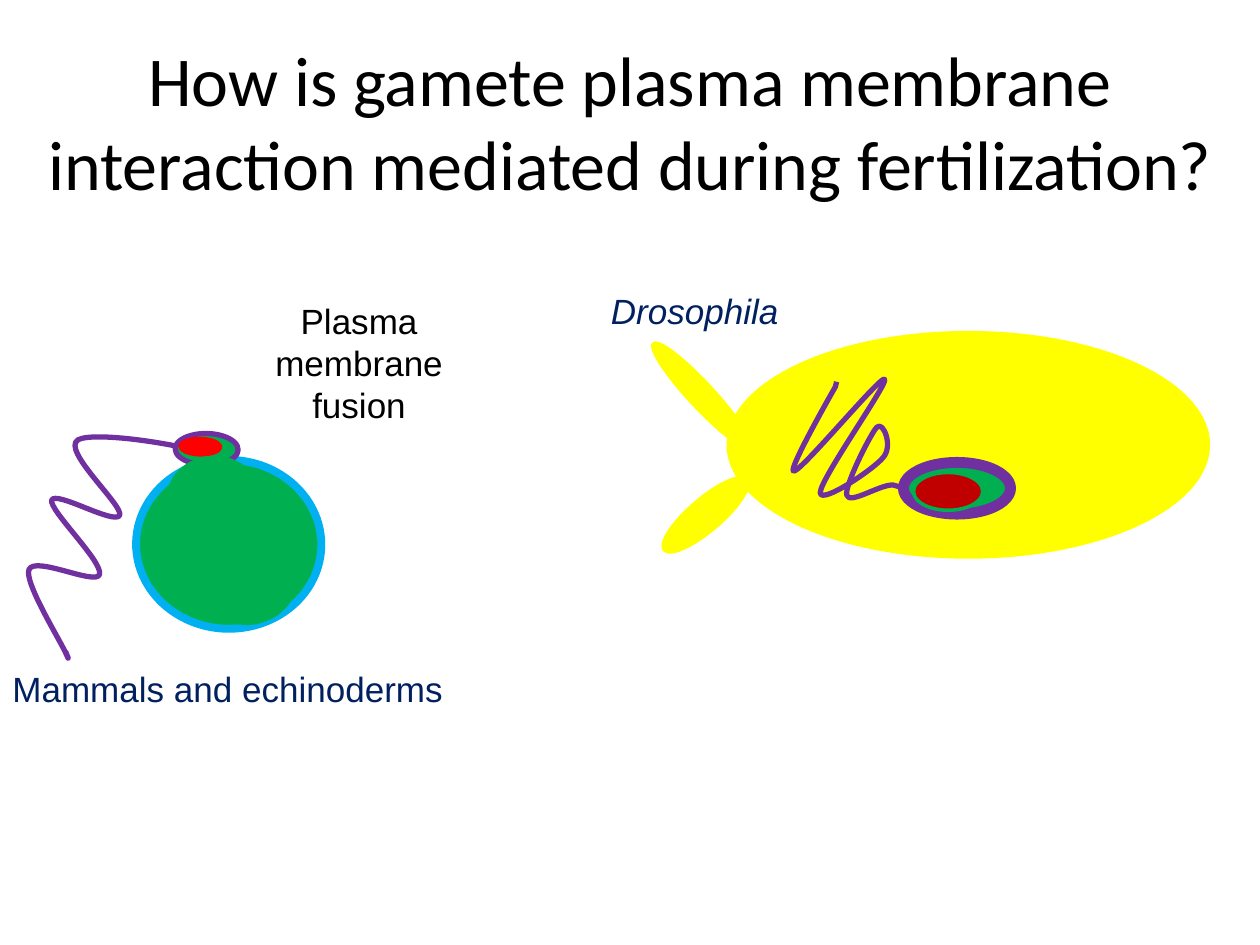
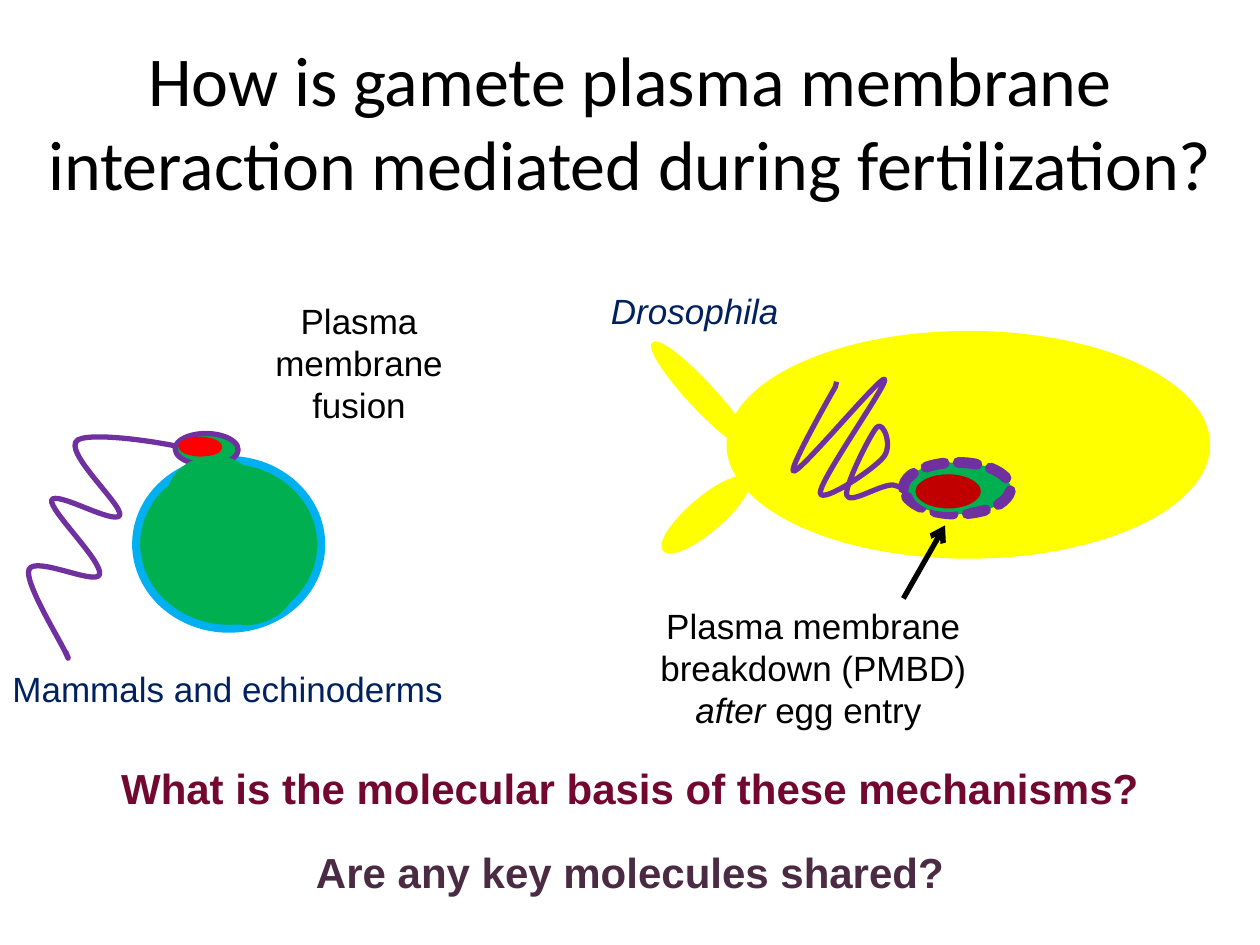
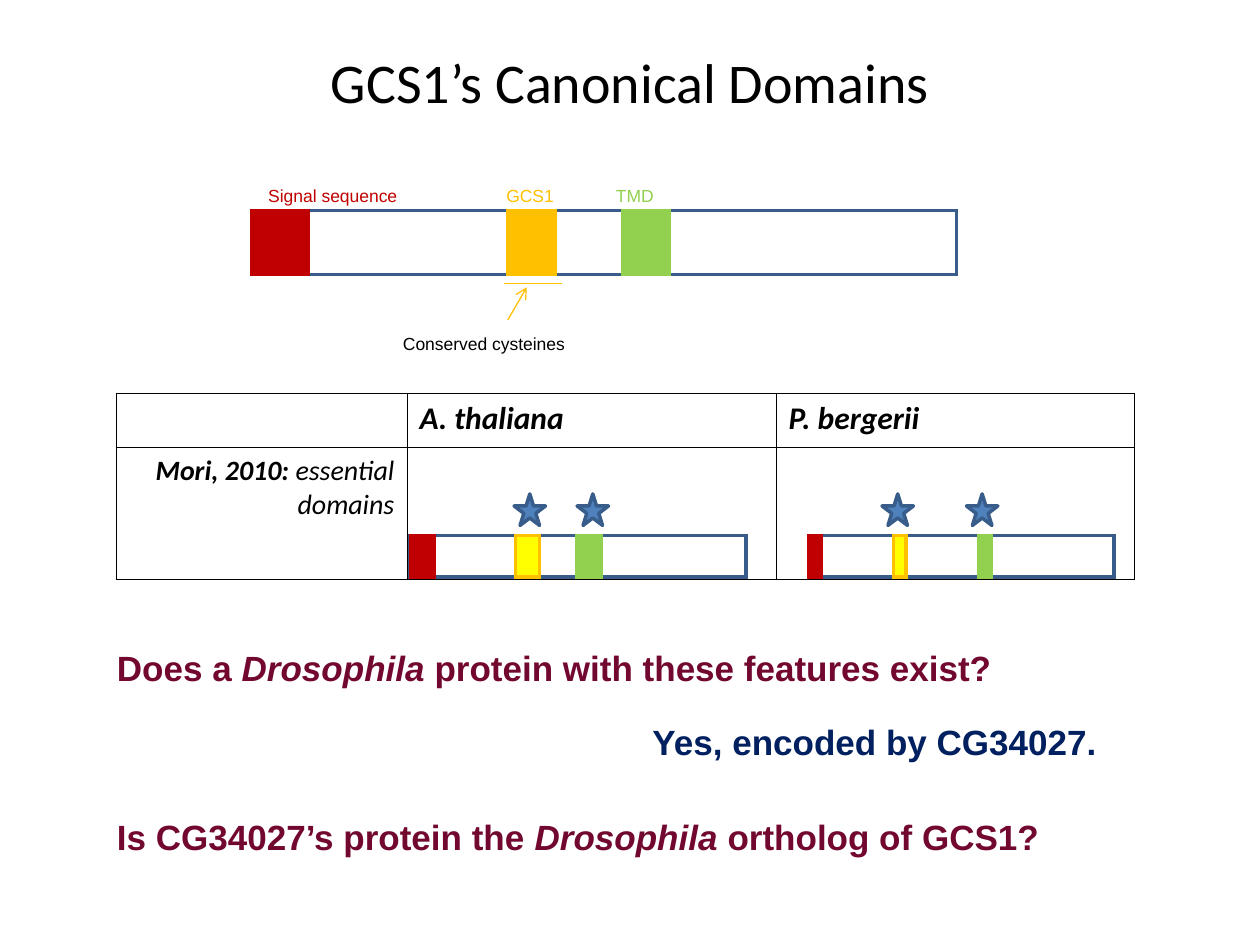
from dataclasses import dataclass
from lxml import etree
from pptx import Presentation
from pptx.dml.color import RGBColor
from pptx.enum.shapes import MSO_CONNECTOR as Link, MSO_SHAPE as Kind
from pptx.enum.text import MSO_ANCHOR as Anchor, MSO_AUTO_SIZE as Fit, PP_ALIGN as Align
from pptx.oxml.ns import qn
from pptx.util import Inches, Pt


@dataclass(frozen=True)
class Theme:
    black: str = "000000"
    navy: str = "002060"
    wine: str = "720830"
    plum: str = "4B2B44"
    green: str = "00B050"
    sky: str = "00B0F0"
    purple: str = "7030A0"
    red: str = "FF0000"
    dark: str = "C00000"
    yellow: str = "FFFF00"
    gold: str = "FFC000"
    lime: str = "92D050"
    blue: str = "4F81BD"
    edge: str = "385D8A"
    head: str = "Calibri"
    body: str = "Arial"
    large: int = 40
    title: int = 32
    ask: int = 24
    text: int = 20
    cell: int = 18
    small: int = 16
    tiny: int = 10


T = Theme()
QUERY = "How is gamete plasma membrane interaction mediated during fertilization?"

SPERM = [
    (1.77, 1.39), (1.49, 1.28, 0.76, 1.17, 0.62, 1.24),
    (0.48, 1.32, 0.98, 1.76, 0.95, 1.84), (0.91, 1.92, 0.44, 1.64, 0.41, 1.72),
    (0.39, 1.8, 0.82, 2.21, 0.79, 2.31), (0.76, 2.4, 0.28, 2.16, 0.23, 2.27),
    (0.19, 2.37, 0.47, 2.82, 0.52, 2.93), (0.57, 3.04, 0.52, 2.92, 0.52, 2.92),
]
NECK = [
    (2.03, 1.61), (1.99, 1.45, 1.81, 1.35, 1.62, 1.39),
    (1.43, 1.43, 1.31, 1.59, 1.35, 1.75), (1.59, 1.71),
    (1.58, 1.69, 1.61, 1.66, 1.66, 1.65), (1.71, 1.64, 1.77, 1.65, 1.79, 1.67),
]
BASE = [
    (1.66, 2.51), (1.73, 2.67, 1.92, 2.74, 2.1, 2.67),
    (2.28, 2.61, 2.38, 2.43, 2.32, 2.27), (2.08, 2.35),
    (2.1, 2.37, 2.07, 2.41, 2.02, 2.42), (1.97, 2.44, 1.91, 2.44, 1.89, 2.42),
]
COIL = [
    (2.57, 1.78), (2.51, 1.7, 2.44, 1.62, 2.34, 1.6),
    (2.24, 1.59, 1.99, 1.76, 1.97, 1.68), (1.95, 1.61, 2.16, 1.19, 2.21, 1.14),
    (2.26, 1.09, 2.34, 1.29, 2.26, 1.38), (2.19, 1.47, 1.76, 1.76, 1.76, 1.66),
    (1.76, 1.55, 2.31, 0.78, 2.27, 0.76), (2.24, 0.73, 1.62, 1.48, 1.55, 1.49),
    (1.49, 1.5, 1.88, 0.82, 1.88, 0.82), (1.89, 0.78),
]


def color(code):
    return RGBColor.from_string(code)


def bend(shape, steps):
    marks = iter(list(shape._element.iter(qn("a:lnTo"))))
    for step in steps[1:]:
        first = next(marks)
        if len(step) == 6:
            first.tag = qn("a:cubicBezTo")
            for _ in range(2):
                mark = next(marks)
                first.append(mark[0])
                mark.getparent().remove(mark)


def write(par, words, size, tone, face=T.body, bold=False, italic=False, align=Align.LEFT):
    for i, piece in enumerate(words.split("*")):
        if piece:
            run = par.add_run()
            run.text = piece
            if "*" in words:
                run.font.italic = i % 2 == 1
    font = par.font
    font.name, font.size, font.bold = face, Pt(size), bold
    if "*" not in words:
        font.italic = italic
    font.color.rgb = color(tone)
    par.alignment = align


def paint(shape, fill, line, width):
    shape.shadow.inherit = False
    if fill:
        shape.fill.solid()
        shape.fill.fore_color.rgb = color(fill)
    else:
        shape.fill.background()
    shape.line.color.rgb = color(line)
    shape.line.width = Pt(width)
    return shape


class Area:
    def __init__(self, slide, left, top):
        self.shapes, self.left, self.top = slide.shapes, left, top

    def spot(self, x, y):
        return Inches(self.left + x), Inches(self.top + y)

    def draw(self, box, fill, line=None, width=2, kind=Kind.OVAL, turn=0):
        x, y, w, h = box
        shape = self.shapes.add_shape(kind, *self.spot(x, y), Inches(w), Inches(h))
        shape.rotation = turn
        return paint(shape, fill, line or fill, width)

    def curve(self, steps, line, width=2, fill=None):
        spots = [self.spot(*s[i:i + 2]) for s in steps for i in range(0, len(s), 2)]
        form = self.shapes.build_freeform(*spots[0])
        form.add_line_segments(spots[1:], close=bool(fill))
        shape = paint(form.convert_to_shape(), fill, line, width)
        bend(shape, steps)

    def label(self, box, lines, tone=T.black, size=T.text, **style):
        x, y, w, h = box
        frame = self.shapes.add_textbox(*self.spot(x, y), Inches(w), Inches(h)).text_frame
        frame.word_wrap = True
        frame.auto_size = Fit.SHAPE_TO_FIT_TEXT
        for i, words in enumerate(lines.split("\n")):
            par = frame.add_paragraph() if i else frame.paragraphs[0]
            write(par, words, size, tone, **style)

    def link(self, start, end, tone, width, tip=False):
        line = self.shapes.add_connector(Link.STRAIGHT, *self.spot(*start), *self.spot(*end))
        line.line.color.rgb = color(tone)
        line.line.width = Pt(width)
        etree.SubElement(line._element.spPr, qn("a:effectLst"))
        if tip:
            etree.SubElement(line.line._get_or_add_ln(), qn("a:tailEnd"), type="arrow")


def start(deck, words, size, height, anchor):
    slide = deck.slides.add_slide(deck.slide_layouts[5])
    title = slide.shapes.title
    title.left, title.top = Inches(0), Inches(0.33)
    title.width, title.height = Inches(10), Inches(height)
    frame = title.text_frame
    frame.auto_size, frame.vertical_anchor = Fit.NONE, anchor
    write(frame.paragraphs[0], words, size, T.black, T.head, align=Align.CENTER)
    return slide


def mammal(area):
    area.curve(SPERM, T.purple, 3)
    area.label((1.83, 0.08, 2.04, 1.1), "Plasma membrane fusion", align=Align.CENTER)
    area.draw((1.08, 1.4, 1.47, 1.34), T.green, T.sky, 4.5, turn=181)
    area.draw((1.39, 1.19, 0.5, 0.25), T.green, T.purple, 3, turn=181)
    area.draw((1.43, 1.23, 0.32, 0.13), T.red, turn=181)
    for steps in (NECK, BASE):
        area.curve(steps, T.green, fill=T.green)
    area.label((0, 3, 4.33, 0.44), "Mammals and echinoderms", T.navy)


def dash(shape):
    line = shape.line._get_or_add_ln()
    line.set("cap", "rnd")
    rule = etree.SubElement(line, qn("a:custDash"))
    etree.SubElement(rule, qn("a:ds"), d="270000", sp="30000")


def fly(area, broken):
    area.draw((1.03, 0.39, 3.81, 1.78), T.yellow)
    area.draw((0.26, 0.79, 1.11, 0.19), T.yellow, turn=47.1)
    area.draw((0.42, 1.71, 0.86, 0.25), T.yellow, turn=139.5)
    area.draw((1.92, 1.77, 0.35, 0.3), T.yellow, kind=Kind.ISOSCELES_TRIANGLE, turn=270)
    area.label((0, 0, 2.42, 0.44), "Drosophila", T.navy, italic=True)
    area.curve(COIL, T.purple, 3)
    head = area.draw((2.42, 1.42, 0.85, 0.41), T.green, T.purple, 6.25)
    area.draw((2.5, 1.5, 0.55, 0.3), T.dark, T.green)
    if broken:
        dash(head)
        area.label((-0.17, 2.5, 3.75, 1.1),
                   "Plasma membrane breakdown (PMBD)\n*after* egg entry ", align=Align.CENTER)
        area.link((2.42, 2.5), (2.75, 1.92), T.black, 3, True)


def gametes(deck, broken):
    slide = start(deck, QUERY, T.large, 1.25, Anchor.MIDDLE)
    mammal(Area(slide, 0, 2.25))
    fly(Area(slide, 4.75, 2.25), broken)
    return slide


def asks(area):
    style = dict(size=T.ask, bold=True, align=Align.CENTER)
    area.label((0, 0, 10, 0.5), "What is the molecular basis of these mechanisms?", T.wine, **style)
    area.label((0, 0.67, 10, 0.5), "Are any key molecules shared?", T.plum, **style)


def strip(area, frame, parts):
    def block(box, *tones):
        shape = area.draw(box, *tones, kind=Kind.RECTANGLE)
        etree.SubElement(shape.line._get_or_add_ln(), qn("a:miter"), lim="800000")

    block(frame, None, T.edge)
    for x, w, *tones in parts:
        block((x, frame[1], w, frame[3]), *tones)


def gene(area):
    strip(area, (0.42, 0.25, 5.17, 0.51),
          [(2.94, 0.37, T.lime), (2.03, 0.38, T.gold), (0, 0.45, T.dark)])
    area.label((0, 0, 1.28, 0.27), "Signal sequence", T.dark, T.tiny, align=Align.CENTER)
    area.label((2.79, 0, 0.8, 0.27), "TMD", T.lime, T.tiny)
    area.label((1.92, 0, 0.75, 0.27), "GCS1", T.gold, T.tiny)
    area.link((2.03, 1.12), (2.18, 0.86), T.gold, 0.75, True)
    area.link((2, 0.83), (2.46, 0.83), T.gold, 0.75)
    area.label((1.05, 1.17, 1.58, 0.27), "Conserved cysteines", size=T.tiny, align=Align.CENTER)


def border(cell):
    props = cell._tc.get_or_add_tcPr()
    for i, side in enumerate(("lnL", "lnR", "lnT", "lnB")):
        line = etree.Element(qn("a:" + side), w=str(Pt(0.45)))
        fill = etree.SubElement(line, qn("a:solidFill"))
        etree.SubElement(fill, qn("a:srgbClr"), val=T.black)
        props.insert(i, line)


def grid(area):
    cols, rows = (2.31, 2.93, 2.84), (0.43, 1.05)
    table = area.shapes.add_table(2, 3, *area.spot(0, 0), Inches(sum(cols)), Inches(sum(rows))).table
    table.first_row = table.horz_banding = False
    for col, width in zip(table.columns, cols):
        col.width = Inches(width)
    for row, height in zip(table.rows, rows):
        row.height = Inches(height)
    for cell in table.iter_cells():
        cell.fill.background()
        border(cell)
    for i, name in enumerate(("A. thaliana", "P. bergerii"), 1):
        write(table.cell(0, i).text_frame.paragraphs[0], name, T.cell, T.black, T.head, True, True)
    par = table.cell(1, 0).text_frame.paragraphs[0]
    write(par, "Mori, 2010: ", T.small, T.black, T.head, True, True, Align.RIGHT)
    rest = par.add_run()
    rest.text = "essential domains"
    rest.font.bold = False


def map_row(area, width, domains, stars):
    strip(area, (0, 0.33, width, 0.33), domains)
    for x in stars:
        area.draw((x, 0, 0.25, 0.25), T.blue, T.edge, kind=Kind.STAR_5_POINT)


def answers(area):
    area.label((0, 0, 8.5, 0.44), "Does a *Drosophila *protein with these features exist?", T.wine, bold=True)
    area.label((4.25, 0.59, 4.25, 0.44), "Yes, encoded by CG34027.", T.navy, bold=True)
    area.label((0, 1.34, 8.5, 0.44), "Is CG34027’s protein the *Drosophila *ortholog of GCS1?", T.wine, bold=True)


def domains(deck):
    slide = start(deck, "GCS1’s Canonical Domains", T.title, 0.92, Anchor.TOP)
    grid(Area(slide, 0.92, 3.12))
    gene(Area(slide, 2, 1.42))
    tones = [(T.dark,), (T.yellow, T.gold), (T.lime,)]
    for left, width, size, spots, stars in (
        (3.25, 2.67, 0.19, (0.01, 0.84, 1.33), (0.83, 1.33)),
        (6.42, 2.42, 0.1, (0, 0.67, 1.35), (0.58, 1.25)),
    ):
        parts = [(x, size, *tone) for x, tone in zip(spots, tones)]
        map_row(Area(slide, left, 3.92), width, parts, stars)
    answers(Area(slide, 0.83, 5.08))


def main():
    deck = Presentation()
    deck.slide_width, deck.slide_height = Inches(10), Inches(7.5)
    gametes(deck, False)
    asks(Area(gametes(deck, True), 0, 6))
    domains(deck)
    deck.save("out.pptx")


if __name__ == "__main__":
    main()
